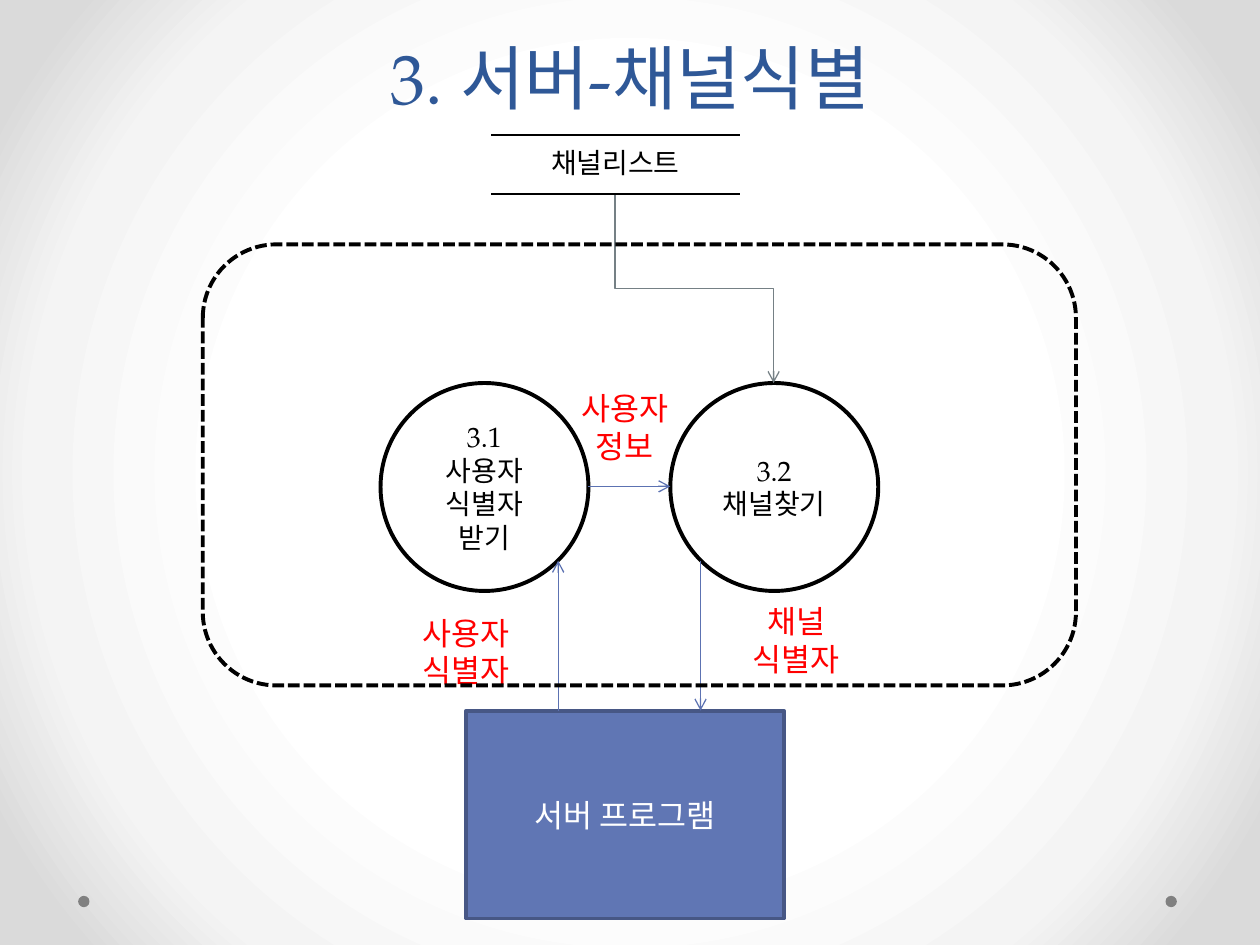
"""Build the channel identification data flow slide."""
from lxml import etree
from pptx import Presentation
from pptx.dml.color import RGBColor
from pptx.enum.dml import MSO_LINE
from pptx.enum.shapes import MSO_CONNECTOR, MSO_SHAPE
from pptx.enum.text import MSO_ANCHOR, MSO_AUTO_SIZE, PP_ALIGN
from pptx.oxml import parse_xml
from pptx.oxml.ns import nsdecls, qn
from pptx.util import Inches, Pt

THEME = {
    "font": "TeX Gyre Pagella",
    "title": "2F5897", "ink": "000000", "paper": "FFFFFF", "label": "FF0000",
    "server": "6076B4", "server_line": "475785", "dot": "808080",
    "flow": "5C72B2", "lookup": "758085",
    "title_size": 40, "text_size": 18, "small_size": 16,
    "thin": 0.75, "thick": 2.25,
    "background": [(50, "FFFFFF"), (76, "F4F4F4"), (92, "DADADA")],
}
TITLE = "3. 서버-채널식별"
STORE = "채널리스트"
SERVER = "서버 프로그램"
PROCESSES = [(3.02, ["3.1", "사용자", "식별자", "받기"]), (5.32, ["3.2", "채널찾기"])]
LABELS = [
    (2.95, 4.82, ["사용자", "식별자"]),
    (5.57, 4.73, ["채널", "식별자"]),
    (4.21, 3.04, ["사용자", "정보"]),
]
CIRCLE_TOP, CIRCLE = 3.04, 1.65
SERVER_TOP = 5.64
FLOWS = [
    (4.43, SERVER_TOP, 4.43, 4.45),
    (5.56, 4.45, 5.56, SERVER_TOP),
    (PROCESSES[0][0] + CIRCLE, 3.86, PROCESSES[1][0], 3.86),
]
STORE_BOX = (3.9, 1.07, 1.97, 0.47)
LOOKUP = (4.88, 1.54, 6.14, CIRCLE_TOP)


def rgb(name):
    return RGBColor.from_string(THEME[name])


def write(tf, lines, size="text_size", color="ink", spacing=None):
    for i, line in enumerate(lines):
        p = tf.paragraphs[0] if i == 0 else tf.add_paragraph()
        p.alignment = PP_ALIGN.CENTER
        if spacing:
            p.line_spacing = Pt(spacing)
        r = p.add_run()
        r.text = line
        r.font.name = THEME["font"]
        r.font.size = Pt(THEME[size])
        r.font.color.rgb = rgb(color)


def add_box(s, kind, box, fill=None, line=None):
    sp = s.shapes.add_shape(kind, *map(Inches, box))
    sp.shadow.inherit = False
    if fill:
        sp.fill.solid()
        sp.fill.fore_color.rgb = rgb(fill)
    else:
        sp.fill.background()
    if line:
        sp.line.color.rgb = rgb(line)
        sp.line.width = Pt(THEME["thick"])
    else:
        sp.line.fill.background()
    sp.text_frame.vertical_anchor = MSO_ANCHOR.MIDDLE
    return sp


def add_arrow(s, kind, ends, color):
    cxn = s.shapes.add_connector(kind, *map(Inches, ends))
    cxn.line.color.rgb = rgb(color)
    cxn.line.width = Pt(THEME["thin"])
    etree.SubElement(cxn.line._get_or_add_ln(), qn("a:tailEnd"), type="arrow")
    etree.SubElement(cxn._element.spPr, qn("a:effectLst"))
    return cxn


def add_lookup(s):
    x1, y1, x2, y2 = LOOKUP
    w, h = y2 - y1, x2 - x1
    left, top = (x1 + x2 - w) / 2, (y1 + y2 - h) / 2
    cxn = add_arrow(s, MSO_CONNECTOR.ELBOW, (left, top, left + w, top + h), "lookup")
    xfrm = cxn._element.spPr.find(qn("a:xfrm"))
    xfrm.set("rot", str(270 * 60000))
    xfrm.set("flipH", "1")


def add_store(s):
    table = s.shapes.add_table(1, 1, *map(Inches, STORE_BOX)).table
    table.first_row = table.horz_banding = False
    cell = table.cell(0, 0)
    write(cell.text_frame, [STORE], size="small_size")
    tcPr = cell._tc.get_or_add_tcPr()
    for side in "LRTB":
        ln = etree.SubElement(tcPr, qn(f"a:ln{side}"), w=str(Pt(1)))
        if side in "TB":
            fill = etree.SubElement(ln, qn("a:solidFill"))
            etree.SubElement(fill, qn("a:srgbClr"), val=THEME["ink"])
        else:
            etree.SubElement(ln, qn("a:noFill"))
    cell.fill.background()


def set_background(s):
    stops = "".join(
        f'<a:gs pos="{pos * 1000}"><a:srgbClr val="{color}"/></a:gs>'
        for pos, color in THEME["background"])
    s._element.cSld.insert(0, parse_xml(
        f'<p:bg {nsdecls("p", "a")}><p:bgPr><a:gradFill rotWithShape="1">'
        f'<a:gsLst>{stops}</a:gsLst><a:path path="circle">'
        '<a:fillToRect l="50000" t="50000" r="50000" b="50000"/></a:path>'
        '</a:gradFill><a:effectLst/></p:bgPr></p:bg>'))


def add_title(s):
    sp = s.shapes.title
    sp.left, sp.top, sp.width, sp.height = map(Inches, (0.5, 0, 9, 0.99))
    tf = sp.text_frame
    tf.auto_size = MSO_AUTO_SIZE.NONE
    tf.vertical_anchor = MSO_ANCHOR.BOTTOM
    write(tf, [TITLE], size="title_size", color="title", spacing=58)


def add_process(s, left, lines):
    box = (left, CIRCLE_TOP, CIRCLE, CIRCLE)
    tf = add_box(s, MSO_SHAPE.OVAL, box, "paper", "ink").text_frame
    tf.margin_left = tf.margin_right = Inches(0.04)
    tf.margin_top = tf.margin_bottom = Inches(0.04)
    write(tf, lines, size="small_size")


def add_label(s, left, top, lines):
    tf = s.shapes.add_textbox(*map(Inches, (left, top, 1.5, 0.71))).text_frame
    tf.word_wrap = True
    tf.auto_size = MSO_AUTO_SIZE.SHAPE_TO_FIT_TEXT
    write(tf, lines, color="label")


def main():
    prs = Presentation()
    prs.slide_width, prs.slide_height = Inches(10), Inches(7.5)
    s = prs.slides.add_slide(prs.slide_layouts[5])
    set_background(s)
    add_title(s)
    for left in (0.62, 9.25):
        add_box(s, MSO_SHAPE.OVAL, (left, 7.11, 0.09, 0.09), "dot")
    for process in PROCESSES:
        add_process(s, *process)
    server = add_box(s, MSO_SHAPE.RECTANGLE, (3.7, SERVER_TOP, 2.52, 1.65),
                     "server", "server_line")
    write(server.text_frame, [SERVER], color="paper")
    add_lookup(s)
    for ends in FLOWS:
        add_arrow(s, MSO_CONNECTOR.STRAIGHT, ends, "flow")
    for label in LABELS:
        add_label(s, *label)
    frame = add_box(s, MSO_SHAPE.ROUNDED_RECTANGLE, (1.61, 1.94, 6.93, 3.5), line="ink")
    frame.line.dash_style = MSO_LINE.SQUARE_DOT
    add_store(s)
    prs.save("out.pptx")


if __name__ == "__main__":
    main()
